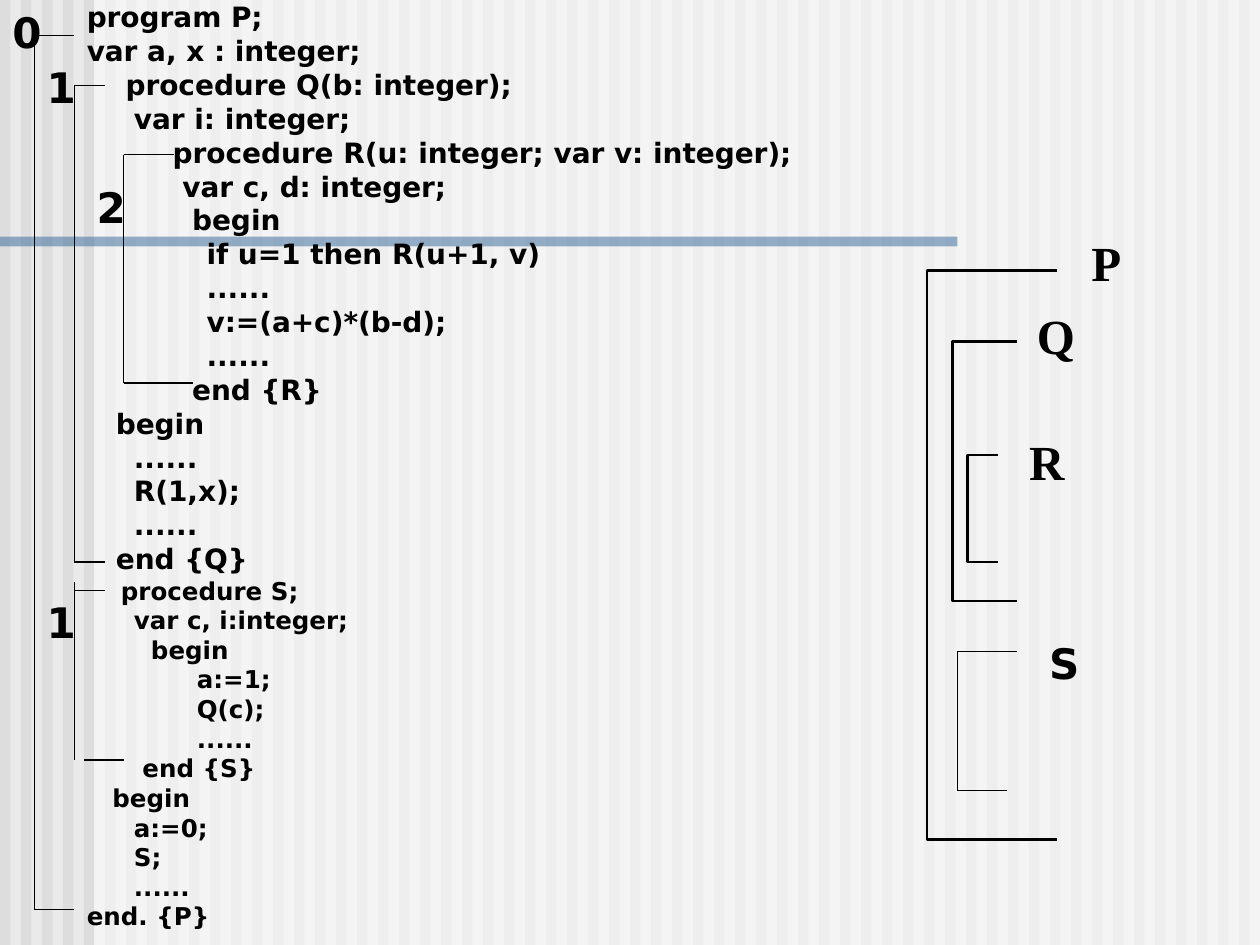
from lxml.etree import SubElement
from pptx import Presentation
from pptx.dml.color import RGBColor
from pptx.enum.shapes import MSO_CONNECTOR, MSO_SHAPE
from pptx.enum.text import MSO_ANCHOR, MSO_AUTO_SIZE, PP_ALIGN
from pptx.oxml.ns import qn
from pptx.util import Cm, Pt

COLORS = {"back": "EAEAEA", "stripe": "DDDDDD", "veil": "FFFFFF",
          "rule": "336699", "ink": "000000"}
SANS, SERIF = "DejaVu Sans", "Times New Roman"
WIDTH, HEIGHT = 25.4, 19.05
STRIPES = 60
HANGING = 0.95

OUTER_CODE = """program P;
var a, x : integer;
    procedure Q(b: integer);
\tvar i: integer;
\t    procedure R(u: integer; var v: integer);
\t     var c, d: integer;
\t      begin
\t\t if u=1 then R(u+1, v)
\t\t ......
\t\t v:=(a+c)*(b-d);
\t\t ......
\t      end {R}
   begin
\t......
\tR(1,x);
\t......
   end {Q}"""

INNER_CODE = """    procedure S;
\tvar c, i:integer;
\t  begin
\t\ta:=1;
\t\tQ(c);
\t\t......
\t end {S}
   begin
\ta:=0;
\tS;
\t......
end. {P}"""

SCOPE_LINES = [
    (0.69, 0.71, 1.5, 0.71), (0.69, 0.91, 0.69, 18.34), (0.69, 18.34, 1.5, 18.34),
    (1.5, 1.73, 2.11, 1.73), (1.5, 1.73, 1.5, 11.33), (1.5, 11.33, 2.11, 11.33),
    (1.5, 11.91, 2.11, 11.91), (1.5, 11.73, 1.5, 15.32), (1.7, 15.32, 2.49, 15.32),
    (2.49, 3.12, 3.51, 3.12), (2.49, 3.12, 2.49, 7.72), (2.49, 7.72, 3.89, 7.72),
    (19.3, 13.13, 20.5, 13.13), (19.3, 13.13, 19.3, 15.93), (19.3, 15.93, 20.29, 15.93),
]
LEVELS = [("0", 0, 0, 1.09), ("1", 0.69, 1.12, 0.8), ("1", 0.69, 11.91, 0.8),
          ("2", 1.7, 3.53, 0.8), ("S", 20.9, 12.73, 1.8)]
BRACKETS = [(18.69, 5.46, 21.31, 16.92), (19.2, 6.88, 20.5, 12.12),
            (19.51, 9.17, 20.12, 11.33)]
NAMES = [("P", 21.11, 4.24), ("R", 19.91, 8.26), ("Q", 20.09, 5.72)]


def color(name):
    """Return the named colour."""
    return RGBColor.from_string(COLORS[name])


def add_bar(page, name, left, top, width, height, alpha=None):
    """Add a plain filled rectangle, optionally translucent."""
    bar = page.shapes.add_shape(MSO_SHAPE.RECTANGLE, Cm(left), Cm(top), Cm(width), Cm(height))
    bar.shadow.inherit = False
    bar.line.fill.background()
    bar.fill.solid()
    bar.fill.fore_color.rgb = color(name)
    if alpha:
        tint = bar.fill._xPr.find(qn("a:solidFill"))[0]
        SubElement(tint, qn("a:alpha"), val=str(alpha * 1000))


def add_line(page, x1, y1, x2, y2):
    """Add a thin straight line."""
    line = page.shapes.add_connector(MSO_CONNECTOR.STRAIGHT, Cm(x1), Cm(y1), Cm(x2), Cm(y2))
    line.line.width = Pt(0.75)
    line.line.color.rgb = color("ink")
    SubElement(line._element.spPr, qn("a:effectLst"))


def add_bracket(page, left, top, right, bottom):
    """Add a square bracket open to the right."""
    builder = page.shapes.build_freeform(Cm(right), Cm(top))
    corners = [(left, top), (left, bottom), (right, bottom)]
    builder.add_line_segments([(Cm(x), Cm(y)) for x, y in corners], close=False)
    bracket = builder.convert_to_shape()
    bracket.shadow.inherit = False
    bracket.fill.background()
    bracket.line.width = Pt(1.5)
    bracket.line.color.rgb = color("ink")


def format_spans(para, font, size):
    """Make the runs of a paragraph bold in the given font."""
    for span in para.runs:
        span.font.name = font
        span.font.size = Pt(size)
        span.font.bold = True
        span.font.color.rgb = color("ink")


def add_label(page, text, left, top, width, height=1.27, font=SANS, size=24):
    """Add a one-letter label and return its box."""
    box = page.shapes.add_textbox(Cm(left), Cm(top), Cm(width), Cm(height))
    frame = box.text_frame
    frame.word_wrap = True
    frame.text = text
    format_spans(frame.paragraphs[0], font, size)
    return box


def add_name(page, text, left, top):
    """Add a procedure name centred in its box."""
    frame = add_label(page, text, left, top, 2.39, 2.08, SERIF, 28).text_frame
    frame.word_wrap = False
    frame.vertical_anchor = MSO_ANCHOR.MIDDLE
    frame.paragraphs[0].alignment = PP_ALIGN.CENTER


def set_tabs(para):
    """Give a paragraph a hanging indent and evenly spaced tab stops."""
    properties = para._p.get_or_add_pPr()
    properties.set("marL", str(Cm(HANGING)))
    properties.set("indent", str(Cm(-HANGING)))
    SubElement(properties, qn("a:buNone"))
    stops = SubElement(properties, qn("a:tabLst"))
    for number in range(8):
        SubElement(stops, qn("a:tab"), pos=str(Cm(2.54 * number)), algn="l")


def add_code(page):
    """Add the program listing."""
    box = page.shapes.add_textbox(Cm(1.5), Cm(0), Cm(22.8), Cm(HEIGHT))
    frame = box.text_frame
    frame.word_wrap = True
    frame.auto_size = MSO_AUTO_SIZE.NONE
    lines = [(text, size) for code, size in ((OUTER_CODE, 16), (INNER_CODE, 14))
             for text in code.split("\n")]
    for index, (text, size) in enumerate(lines):
        para = frame.add_paragraph() if index else frame.paragraphs[0]
        para.text = text
        set_tabs(para)
        para.line_spacing = 0.8
        if index:
            para.space_before = Pt(size / 4)
        format_spans(para, SANS, size)


def add_backdrop(page):
    """Add the striped background and the horizontal rule."""
    page.background.fill.solid()
    page.background.fill.fore_color.rgb = color("back")
    pitch = WIDTH / STRIPES
    for number in range(STRIPES):
        add_bar(page, "stripe", number * pitch, 0, pitch / 2, HEIGHT)
    add_bar(page, "veil", 1.9, 0, WIDTH - 1.9, HEIGHT, alpha=50)
    add_bar(page, "rule", 0, 4.77, 19.3, 0.2, alpha=50)


def main():
    """Build the slide on nested procedure scopes."""
    deck = Presentation()
    deck.slide_width, deck.slide_height = Cm(WIDTH), Cm(HEIGHT)
    page = deck.slides.add_slide(deck.slide_layouts[6])
    add_backdrop(page)
    add_code(page)
    for ends in SCOPE_LINES:
        add_line(page, *ends)
    for level in LEVELS:
        add_label(page, *level)
    for edges in BRACKETS:
        add_bracket(page, *edges)
    for name in NAMES:
        add_name(page, *name)
    deck.save("out.pptx")


if __name__ == "__main__":
    main()
